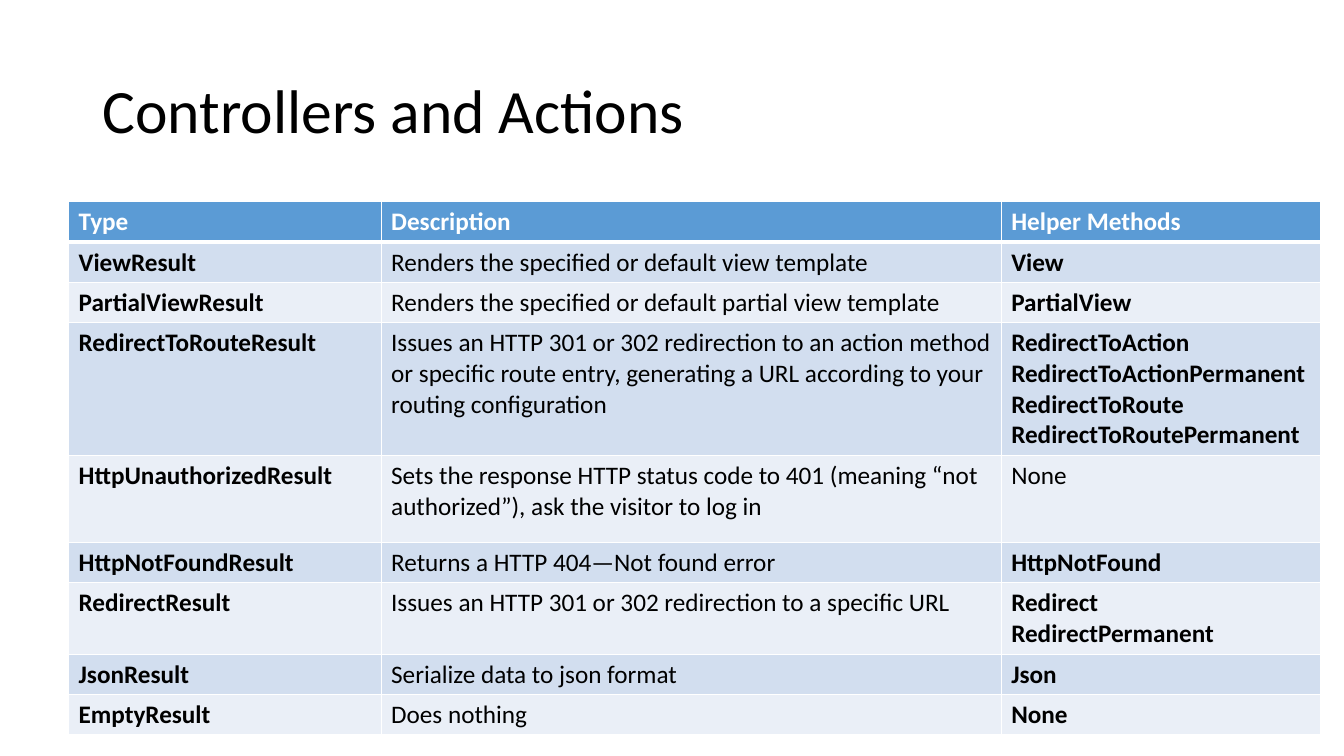
from lxml.etree import SubElement
from pptx import Presentation
from pptx.dml.color import RGBColor
from pptx.enum.text import MSO_ANCHOR as Anchor
from pptx.oxml.ns import qn
from pptx.util import Pt

PX = 9144
FONT = "Calibri"
BLACK = RGBColor(0x00, 0x00, 0x00)
WHITE = RGBColor(0xFF, 0xFF, 0xFF)
HEADER_BLUE = RGBColor(0x5B, 0x9B, 0xD5)
BAND_DARK = RGBColor(0xD2, 0xDE, 0xEF)
BAND_LIGHT = RGBColor(0xEA, 0xEF, 0xF7)

HEADINGS = ("Type", "Description", "Helper Methods")
RESULTS = [
    ("ViewResult", "Renders the specified or default view template", "View"),
    ("PartialViewResult", "Renders the specified or default partial view template",
     "PartialView"),
    ("RedirectToRouteResult",
     "Issues an HTTP 301 or 302 redirection to an action method or specific route "
     "entry, generating a URL according to your routing configuration",
     "RedirectToAction\nRedirectToActionPermanent\n"
     "RedirectToRoute\nRedirectToRoutePermanent"),
    ("HttpUnauthorizedResult",
     "Sets the response HTTP status code to 401 (meaning “not authorized”), "
     "ask the visitor to log in", "None"),
    ("HttpNotFoundResult", "Returns a HTTP 404—Not found error", "HttpNotFound"),
    ("RedirectResult", "Issues an HTTP 301 or 302 redirection to a specific URL",
     "Redirect\nRedirectPermanent"),
    ("JsonResult", "Serialize data to json format", "Json"),
    ("EmptyResult", "Does nothing", "None"),
]
COLUMN_WIDTHS = (310, 615, 317)
ROW_HEIGHTS = (40, 40, 40, 132, 86, 40, 71, 40, 40)
PLAIN_HELPER_ROW = 4


def write_text(frame, text, size=18, color=BLACK, bold=False, spacing=None):
    """Fill a text frame with one paragraph per line of text."""
    frame.word_wrap = True
    for index, line in enumerate(text.split("\n")):
        para = frame.add_paragraph() if index else frame.paragraphs[0]
        if spacing:
            para.line_spacing = spacing
        span = para.add_run()
        span.text = line
        span.font.name = FONT
        span.font.size = Pt(size)
        span.font.bold = bold
        span.font.color.rgb = color


def set_borders(cell, top, bottom):
    """Draw white borders round a cell, with widths in points."""
    properties = cell._tc.get_or_add_tcPr()
    sides = (("L", 1), ("R", 1), ("T", top), ("B", bottom))
    for index, (side, width) in enumerate(sides):
        line = SubElement(properties, qn(f"a:ln{side}"), w=str(Pt(width)))
        fill = SubElement(line, qn("a:solidFill"))
        SubElement(fill, qn("a:srgbClr"), val=str(WHITE))
        properties.insert(index, line)


def add_title(page, left, top, width, height):
    """Place the slide title in its box."""
    box = page.shapes.add_textbox(left * PX, top * PX, width * PX, height * PX)
    box.text_frame.vertical_anchor = Anchor.MIDDLE
    write_text(box.text_frame, "Controllers and Actions", size=44, spacing=0.9)


def add_results_table(page, left, top):
    """Place the table of action results with its corner at the given point."""
    rows = [HEADINGS] + RESULTS
    table = page.shapes.add_table(
        len(rows), len(HEADINGS), left * PX, top * PX,
        sum(COLUMN_WIDTHS) * PX, sum(ROW_HEIGHTS) * PX).table
    for column, width in zip(table.columns, COLUMN_WIDTHS):
        column.width = width * PX
    for row, height in zip(table.rows, ROW_HEIGHTS):
        row.height = height * PX
    for r, texts in enumerate(rows):
        band = BAND_DARK if r % 2 else BAND_LIGHT
        for c, text in enumerate(texts):
            cell = table.cell(r, c)
            cell.fill.solid()
            cell.fill.fore_color.rgb = band if r else HEADER_BLUE
            set_borders(cell, top=3 if r == 1 else 1, bottom=1 if r else 3)
            plain = r > 0 and (c == 1 or (r, c) == (PLAIN_HELPER_ROW, 2))
            write_text(cell.text_frame, text, color=BLACK if r else WHITE,
                       bold=not plain)


def main():
    """Build the deck and save it."""
    deck = Presentation()
    deck.slide_width, deck.slide_height = 1333 * PX, 750 * PX
    page = deck.slides.add_slide(deck.slide_layouts[6])
    add_title(page, 92, 40, 1150, 145)
    add_results_table(page, 68, 200)
    deck.save("out.pptx")


if __name__ == "__main__":
    main()
